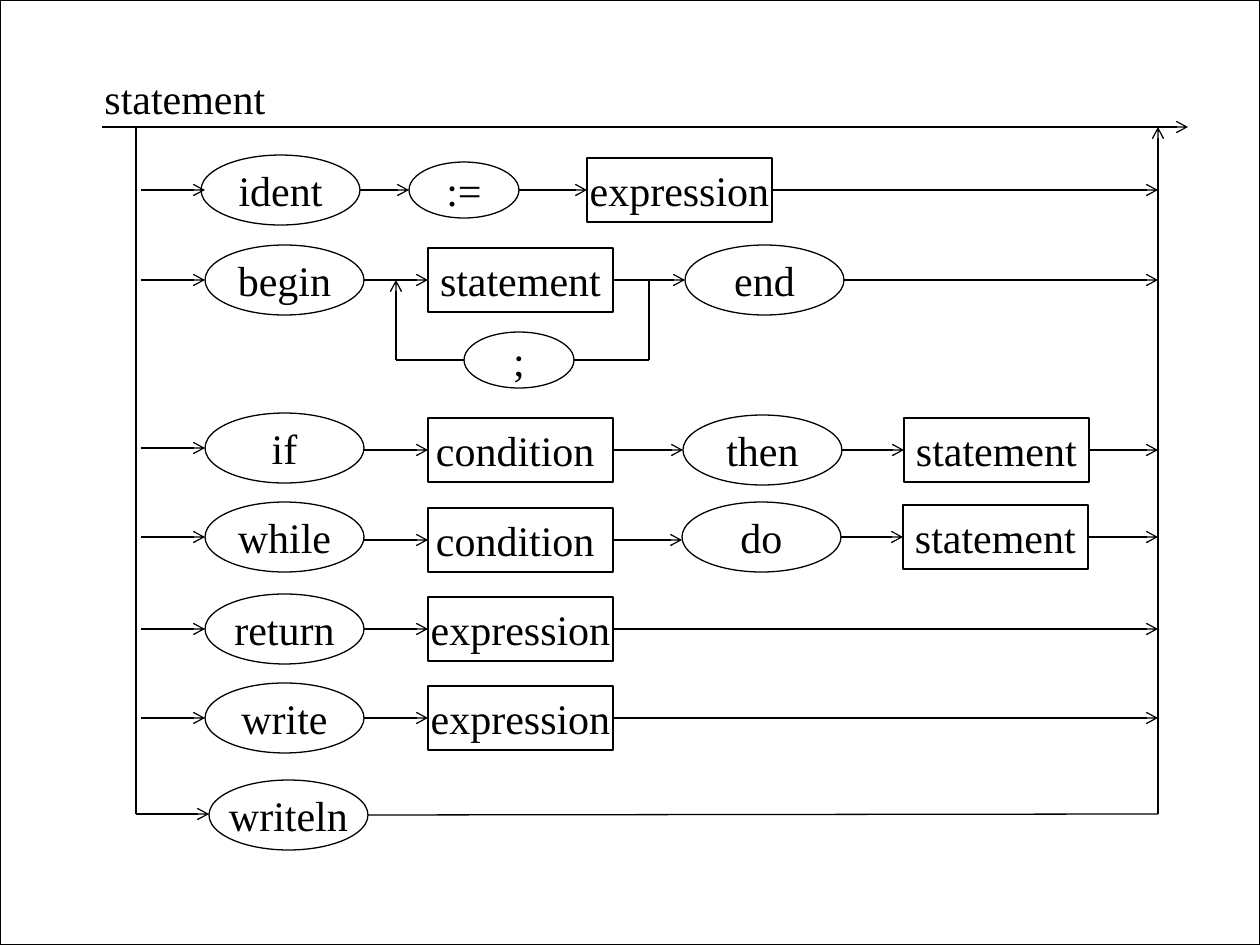
from dataclasses import dataclass
from itertools import pairwise

from lxml import etree
from pptx import Presentation
from pptx.dml.color import RGBColor
from pptx.enum.shapes import MSO_CONNECTOR, MSO_SHAPE
from pptx.enum.text import MSO_ANCHOR, PP_ALIGN
from pptx.oxml.ns import qn
from pptx.util import Emu, Pt

RECT, OVAL = MSO_SHAPE.RECTANGLE, MSO_SHAPE.OVAL
STRAIGHT = MSO_CONNECTOR.STRAIGHT
MIDDLE, CENTER = MSO_ANCHOR.MIDDLE, PP_ALIGN.CENTER
LEFT_SIDE, RIGHT_SIDE = 1, 3
BLANK_LAYOUT = 6
PX = 914400 / 126
SLIDE_W, SLIDE_H = 1260, 945


@dataclass(frozen=True)
class Theme:
    ink: RGBColor = RGBColor(0, 0, 0)
    paper: RGBColor = RGBColor(255, 255, 255)
    backdrop: RGBColor = RGBColor(255, 255, 204)
    font: str = "Times New Roman"
    size: Pt = Pt(24)
    line: Pt = Pt(0.75)


@dataclass
class Node:
    shape: object
    left: int
    right: int
    y: int
    boxed: bool


def emu(px):
    return Emu(round(px * PX))


class Diagram:
    def __init__(self, slide, theme):
        self.slide, self.theme = slide, theme
        fill = slide.background.fill
        fill.solid()
        fill.fore_color.rgb = theme.backdrop

    def add_text(self, paragraph, text):
        run = paragraph.add_run()
        run.text = text
        run.font.name, run.font.size = self.theme.font, self.theme.size
        run.font.color.rgb = self.theme.ink

    def outline(self, line):
        line.color.rgb = self.theme.ink
        line.width = self.theme.line

    def panel(self, kind, left, top, width, height):
        shape = self.slide.shapes.add_shape(kind, *map(emu, (left, top, width, height)))
        shape.shadow.inherit = False
        shape.fill.solid()
        shape.fill.fore_color.rgb = self.theme.paper
        self.outline(shape.line)
        return shape

    def label(self, left, top, width, height, text):
        box = self.slide.shapes.add_textbox(*map(emu, (left, top, width, height)))
        box.text_frame.word_wrap = True
        self.add_text(box.text_frame.paragraphs[0], text)

    def node(self, kind, left, y, width, height, text):
        shape = self.panel(kind, left, y - height / 2, width, height)
        frame = shape.text_frame
        frame.word_wrap = False
        frame.vertical_anchor = MIDDLE
        frame.paragraphs[0].alignment = CENTER
        self.add_text(frame.paragraphs[0], text)
        return Node(shape, left, left + width, y, kind == RECT)

    def keyword(self, left, y, text):
        return self.node(OVAL, left, y, 159, 70, text)

    def symbol(self, left, y, text):
        return self.node(OVAL, left, y, 110, 56, text)

    def rule(self, left, y, text):
        return self.node(RECT, left, y, 185, 64, text)

    def line(self, x1, y1, x2, y2, arrow=True):
        connector = self.slide.shapes.add_connector(STRAIGHT, *map(emu, (x1, y1, x2, y2)))
        self.outline(connector.line)
        properties = connector._element.spPr
        if arrow:
            etree.SubElement(properties.find(qn("a:ln")), qn("a:tailEnd"), type="arrow")
        etree.SubElement(properties, qn("a:effectLst"))
        return connector

    def link(self, source, target):
        y = source.y if source.boxed else target.y
        connector = self.line(source.right, y, target.left, y)
        if source.boxed:
            connector.begin_connect(source.shape, RIGHT_SIDE)
        if target.boxed:
            connector.end_connect(target.shape, LEFT_SIDE)

    def leave(self, source, x):
        connector = self.line(source.right, source.y, x, source.y)
        if source.boxed:
            connector.begin_connect(source.shape, RIGHT_SIDE)


def build(diagram):
    top_y, bottom_y = 127, 814
    entry_x, exit_x = 136, 1158
    branch_x, first_x = 141, 205

    # White sheet and heading
    diagram.panel(RECT, 0, 0, SLIDE_W, SLIDE_H)
    diagram.label(92, 66, 256, 63, "statement")

    # Alternatives, one per row
    keyword, symbol, rule = diagram.keyword, diagram.symbol, diagram.rule
    rows = [
        [(keyword, 201, 190, "ident"), (symbol, 409, 190, ":="),
         (rule, 587, 190, "expression")],
        [(keyword, first_x, 280, "begin"), (rule, 428, 280, "statement"),
         (keyword, 685, 280, "end")],
        [(keyword, first_x, 448, "if"), (rule, 428, 450, "condition "),
         (keyword, 683, 450, "then"), (rule, 904, 450, "statement")],
        [(keyword, first_x, 537, "while"), (rule, 428, 540, "condition "),
         (keyword, 682, 537, "do"), (rule, 903, 537, "statement")],
        [(keyword, first_x, 629, "return"), (rule, 428, 629, "expression")],
        [(keyword, first_x, 718, "write"), (rule, 428, 718, "expression")],
    ]
    for row in rows:
        nodes = [draw(left, y, text) for draw, left, y, text in row]
        diagram.line(branch_x, nodes[0].y, first_x, nodes[0].y)
        for source, target in pairwise(nodes):
            diagram.link(source, target)
        diagram.leave(nodes[-1], exit_x)

    # Repeat loop of the begin row
    loop_top, loop_y, loop_left, loop_right = 280, 360, 396, 649
    separator = symbol(464, loop_y, ";")
    diagram.line(separator.right, loop_y, loop_right, loop_y, arrow=False)
    diagram.line(loop_right, loop_top, loop_right, loop_y, arrow=False)
    diagram.line(separator.left, loop_y, loop_left, loop_y, arrow=False)
    diagram.line(loop_left, loop_y, loop_left, loop_top)

    # Last row closes the frame
    writeln = keyword(209, 815, "writeln")
    diagram.line(entry_x, bottom_y, writeln.left, bottom_y)
    diagram.line(writeln.right, writeln.y, exit_x, bottom_y, arrow=False)

    # Main track and the two rails
    diagram.line(102, top_y, 1188, top_y)
    diagram.line(entry_x, bottom_y, entry_x, top_y, arrow=False)
    diagram.line(exit_x, bottom_y, exit_x, top_y)


def main():
    deck = Presentation()
    deck.slide_width, deck.slide_height = emu(SLIDE_W), emu(SLIDE_H)
    slide = deck.slides.add_slide(deck.slide_layouts[BLANK_LAYOUT])
    build(Diagram(slide, Theme()))
    deck.save("out.pptx")


if __name__ == "__main__":
    main()
